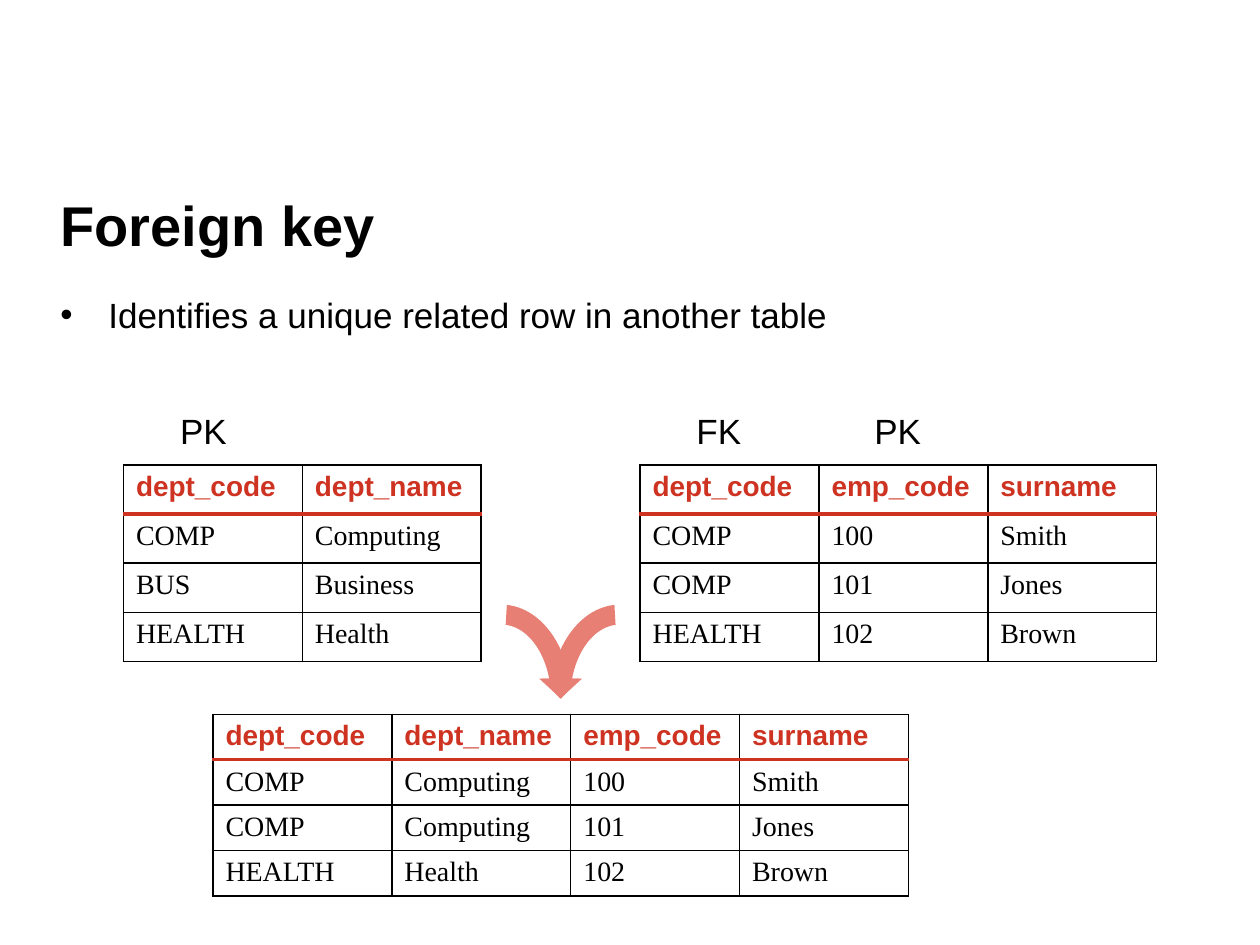
from dataclasses import dataclass

from lxml import etree
from pptx import Presentation
from pptx.dml.color import RGBColor
from pptx.enum import shapes, text
from pptx.oxml import ns
from pptx.util import Inches, Pt


@dataclass(frozen=True)
class Theme:
    black: RGBColor = RGBColor(0x00, 0x00, 0x00)
    red: RGBColor = RGBColor(0xCE, 0x33, 0x22)
    arrow: RGBColor = RGBColor(0xE8, 0x7F, 0x74)
    sans: str = "Arial"
    serif: str = "Times New Roman"
    title: Pt = Pt(32)
    body: Pt = Pt(20)
    cell: Pt = Pt(16)
    rule: Pt = Pt(1)
    header_rule: Pt = Pt(2.25)


T = Theme()
COL_WIDTHS = {"dept_code": 1.42, "dept_name": 1.42, "emp_code": 1.34, "surname": 1.34}
DEPARTMENTS = [
    ("dept_code", "dept_name"),
    ("COMP", "Computing"),
    ("BUS", "Business"),
    ("HEALTH", "Health"),
]
EMPLOYEES = [
    ("dept_code", "emp_code", "surname"),
    ("COMP", "100", "Smith"),
    ("COMP", "101", "Jones"),
    ("HEALTH", "102", "Brown"),
]
JOINED = [
    ("dept_code", "dept_name", "emp_code", "surname"),
    ("COMP", "Computing", "100", "Smith"),
    ("COMP", "Computing", "101", "Jones"),
    ("HEALTH", "Health", "102", "Brown"),
]


def write(tf, words, size, name=T.sans, color=T.black, bold=False, align=text.PP_ALIGN.LEFT):
    p = tf.paragraphs[0]
    p.alignment = align
    r = p.add_run()
    r.text = words
    for key, value in {"size": size, "name": name, "bold": bold}.items():
        setattr(r.font, key, value)
    r.font.color.rgb = color
    return p


def place(sp, left, top, width, height):
    box = {"left": left, "top": top, "width": width, "height": height}
    for key, value in box.items():
        setattr(sp, key, Inches(value))


def add_heading(s, left, top, width):
    """Fill the title and body placeholders, stacked from the given corner."""
    title, body = s.placeholders
    place(title, left, top, width, 0.76)
    place(body, left, top + 0.88, width, 1.23)
    for sp in (title, body):
        sp.text_frame.auto_size = text.MSO_AUTO_SIZE.NONE
    title.text_frame.vertical_anchor = text.MSO_ANCHOR.MIDDLE
    write(title.text_frame, "Foreign key", T.title, bold=True)
    p = write(body.text_frame, "Identifies a unique related row in another table", T.body)
    p.space_before = Pt(4)
    pPr = p._p.get_or_add_pPr()
    pPr.set("marL", str(Inches(0.38)))
    pPr.set("indent", str(-Inches(0.38)))


def set_borders(cell, top, bottom):
    """Draw the four edges; top and bottom are (colour, width) pairs."""
    side = (T.black, T.rule)
    tcPr = cell._tc.get_or_add_tcPr()
    edges = {"a:lnL": side, "a:lnR": side, "a:lnT": top, "a:lnB": bottom}
    for i, (tag, (color, width)) in enumerate(edges.items()):
        ln = etree.Element(ns.qn(tag), w=str(width))
        fill = etree.SubElement(ln, ns.qn("a:solidFill"))
        etree.SubElement(fill, ns.qn("a:srgbClr"), val=str(color))
        tcPr.insert(i, ln)


def add_relation(s, rows, left, top, row_height, keys=None):
    """Add a table; keys maps label offsets from its left edge to label text."""
    widths = [COL_WIDTHS[name] for name in rows[0]]
    table = s.shapes.add_table(
        len(rows), len(widths), Inches(left), Inches(top),
        Inches(sum(widths)), Inches(row_height * len(rows))).table
    table.first_row = table.horz_banding = False
    for col, width in zip(table.columns, widths):
        col.width = Inches(width)
    thin, thick = (T.black, T.rule), (T.red, T.header_rule)
    header = {"color": T.red, "bold": True}
    data = {"name": T.serif}
    for i, row in enumerate(rows):
        table.rows[i].height = Inches(row_height)
        for j, words in enumerate(row):
            cell = table.cell(i, j)
            cell.fill.background()
            write(cell.text_frame, words, T.cell, **(data if i else header))
            set_borders(cell, thick if i == 1 else thin, thick if i == 0 else thin)
    for offset, words in (keys or {}).items():
        add_key_label(s, words, left + offset, top - 0.49)


def add_key_label(s, words, left, top):
    tf = s.shapes.add_textbox(Inches(left), Inches(top), Inches(0.63), Inches(0.44)).text_frame
    tf.word_wrap = True
    tf.auto_size = text.MSO_AUTO_SIZE.SHAPE_TO_FIT_TEXT
    write(tf, words, T.body, align=text.PP_ALIGN.CENTER)


def add_join_arrows(s, left, top):
    """Group two mirrored curved arrows that meet at one tip."""
    group = s.shapes.add_group_shape()
    for offset, mirrored in ((0, False), (0.94, True)):
        sp = group.shapes.add_shape(
            shapes.MSO_SHAPE.CIRCULAR_ARROW,
            Inches(left + offset), Inches(top), Inches(1.26), Inches(1.65))
        for i, value in enumerate((0.125, 11.423, 204.577, 163.988, 0.125)):
            sp.adjustments[i] = value
        sp.shadow.inherit = False
        sp.fill.solid()
        sp.fill.fore_color.rgb = T.arrow
        sp.line.fill.background()
        if mirrored:
            sp._element.spPr.xfrm.set("flipH", "1")


def main():
    prs = Presentation()
    prs.slide_width, prs.slide_height = Inches(10), Inches(7.5)
    s = prs.slides.add_slide(prs.slide_layouts[1])
    add_heading(s, 0.38, 1.4, 9.24)
    add_join_arrows(s, 3.35, 4.72)
    add_relation(s, JOINED, 1.69, 5.67, 0.36)
    add_relation(s, DEPARTMENTS, 0.98, 3.69, 0.39, {0.32: "PK"})
    add_relation(s, EMPLOYEES, 5.08, 3.69, 0.39, {0.31: "FK", 1.73: "PK"})
    prs.save("out.pptx")


if __name__ == "__main__":
    main()
